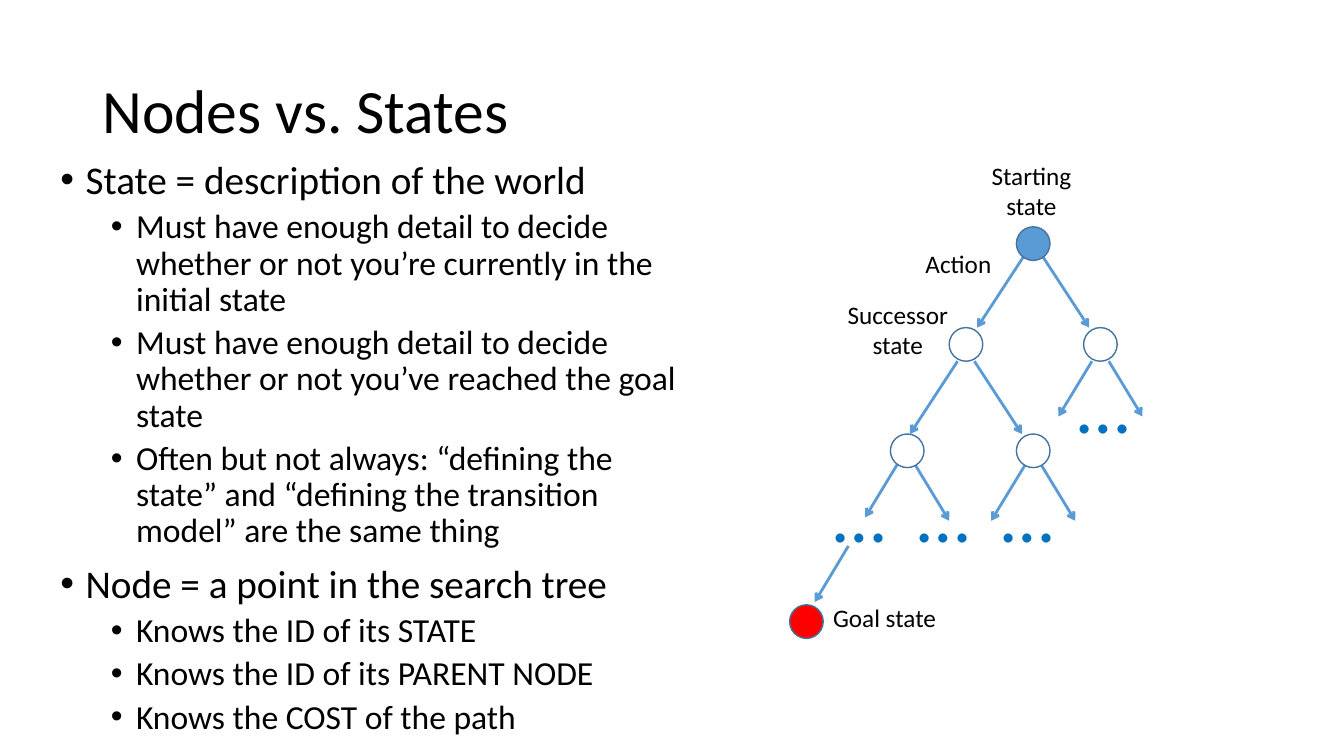
from lxml import etree
from pptx import Presentation
from pptx.dml.color import RGBColor
from pptx.enum import shapes, text
from pptx.oxml import ns
from pptx.util import Pt

COLORS = {"black": "000000", "white": "FFFFFF", "blue": "5B9BD5",
          "outline": "43739E", "dots": "0070C0", "red": "FF0000"}
FONT = "Calibri"
TITLE = "Nodes vs. States"
BULLETS = [
    (0, "State = description of the world"),
    (1, "Must have enough detail to decide whether or not you’re currently in the initial state"),
    (1, "Must have enough detail to decide whether or not you’ve reached the goal state"),
    (1, "Often but not always: “defining the state” and “defining the transition model” are the same thing"),
    (0, "Node = a point in the search tree"),
    (1, "Knows the ID of its STATE"),
    (1, "Knows the ID of its PARENT NODE"),
    (1, "Knows the COST of the path"),
]
# Per list level: font size, space before, left margin
LEVELS = [(28, 10, 18), (24, 5, 54)]

# Tree nodes: centre x, centre y, fill
NODES = {
    "start": (738, 174, "blue"),
    "successor": (690, 246, "white"),
    "sibling": (786, 246, "white"),
    "left leaf": (648, 322, "white"),
    "right leaf": (738, 322, "white"),
    "goal": (576, 444, "red"),
}
DIAMETER = 24
# Arrows below a node: node, sides (-1 left, 1 right), start below centre, size
LONG, SHORT = (34, 52), (24, 39.5)
BRANCHES = [
    ("start", (-1, 1), 8, LONG),
    ("successor", (-1, 1), 12, LONG),
    ("sibling", (-1, 1), 12, SHORT),
    ("left leaf", (-1,), 8, SHORT),
    ("left leaf", (1,), 10.5, SHORT),
    ("right leaf", (-1, 1), 10.5, SHORT),
]
BRANCH_OFFSET = 6
GOAL_ARROW = (606, 390, 582, 430)
# Ellipses: left, top
DOTS = [(588, 330), (648.25, 330), (708.5, 330), (762.5, 252)]
# Labels: words, box, wrapped and centred
LABELS = [
    ("Starting state", (693.5, 111, 86.5, 51), True),
    ("Successor state", (593, 210, 96.5, 51), True),
    ("Action", (654, 174, 64, 29), False),
    ("Goal state", (588, 427, 88.5, 29), False),
]


def apply(target, values):
    """Set every attribute named in the dict."""
    for name, value in values.items():
        setattr(target, name, value)


def place(shape, left, top, width, height):
    """Move and size a shape, in points."""
    apply(shape, {"left": Pt(left), "top": Pt(top),
                  "width": Pt(width), "height": Pt(height)})


def color(name):
    """Look up a named colour."""
    return RGBColor.from_string(COLORS[name])


def write(paragraph, words, size, ink="black", **values):
    """Write one formatted run and set paragraph values."""
    run = paragraph.add_run()
    run.text = words
    apply(run.font, {"name": FONT, "size": Pt(size)})
    run.font.color.rgb = color(ink)
    apply(paragraph, values)


def add_label(slide, words, box, size, ink="black", wrapped=False):
    """Add a free text box."""
    shape = slide.shapes.add_textbox(*map(Pt, box))
    shape.text_frame.word_wrap = wrapped
    alignment = text.PP_ALIGN.CENTER if wrapped else text.PP_ALIGN.LEFT
    write(shape.text_frame.paragraphs[0], words, size, ink, alignment=alignment)


def add_arrow(slide, *ends):
    """Add an arrow from the first point to the second."""
    arrow = slide.shapes.add_connector(shapes.MSO_CONNECTOR.STRAIGHT, *map(Pt, ends))
    arrow.line.color.rgb = color("blue")
    arrow.line.width = Pt(2)
    etree.SubElement(arrow.line._get_or_add_ln(), ns.qn("a:tailEnd"), type="arrow")
    etree.SubElement(arrow._element.spPr, ns.qn("a:effectLst"))


def add_node(slide, x, y, fill):
    """Add a round tree node about its centre."""
    corner = (x - DIAMETER / 2, y - DIAMETER / 2)
    node = slide.shapes.add_shape(shapes.MSO_SHAPE.OVAL,
                                  *map(Pt, (*corner, DIAMETER, DIAMETER)))
    node.shadow.inherit = False
    node.fill.solid()
    node.fill.fore_color.rgb = color(fill)
    node.line.color.rgb = color("outline")
    node.line.width = Pt(1)


def fill_title(title):
    """Place and write the title."""
    place(title, 66, 29, 828, 104.5)
    apply(title.text_frame, {"vertical_anchor": text.MSO_ANCHOR.MIDDLE,
                             "auto_size": text.MSO_AUTO_SIZE.NONE})
    write(title.text_frame.paragraphs[0], TITLE, 44,
          alignment=text.PP_ALIGN.LEFT, line_spacing=0.9)


def fill_body(body):
    """Place and write the two-level list."""
    place(body, 36, 111, 468, 429)
    frame = body.text_frame
    frame.auto_size = text.MSO_AUTO_SIZE.NONE
    for index, (level, words) in enumerate(BULLETS):
        paragraph = frame.add_paragraph() if index else frame.paragraphs[0]
        size, before, margin = LEVELS[level]
        write(paragraph, words, size, level=level, line_spacing=0.9,
              space_before=Pt(before))
        properties = paragraph._p.get_or_add_pPr()
        properties.set("marL", str(Pt(margin)))
        properties.set("indent", str(Pt(-18)))
        etree.SubElement(properties, ns.qn("a:buFont"), typeface="Arial")
        etree.SubElement(properties, ns.qn("a:buChar"), char="•")


def draw_tree(slide):
    """Draw the search tree with its labels."""
    for left, top in DOTS:
        add_label(slide, "…", (left, top, 53, 73), 54, "dots")
    for name, sides, drop, (run, fall) in BRANCHES:
        x, y, _ = NODES[name]
        for side in sides:
            start = x + side * BRANCH_OFFSET
            add_arrow(slide, start, y + drop, start + side * run, y + drop + fall)
    add_arrow(slide, *GOAL_ARROW)
    for words, box, wrapped in LABELS:
        add_label(slide, words, box, 18, wrapped=wrapped)
    for node in NODES.values():
        add_node(slide, *node)


presentation = Presentation()
apply(presentation, {"slide_width": Pt(960), "slide_height": Pt(540)})
slide = presentation.slides.add_slide(presentation.slide_layouts[1])
fill_title(slide.shapes.title)
fill_body(slide.placeholders[1])
draw_tree(slide)
presentation.save("out.pptx")
